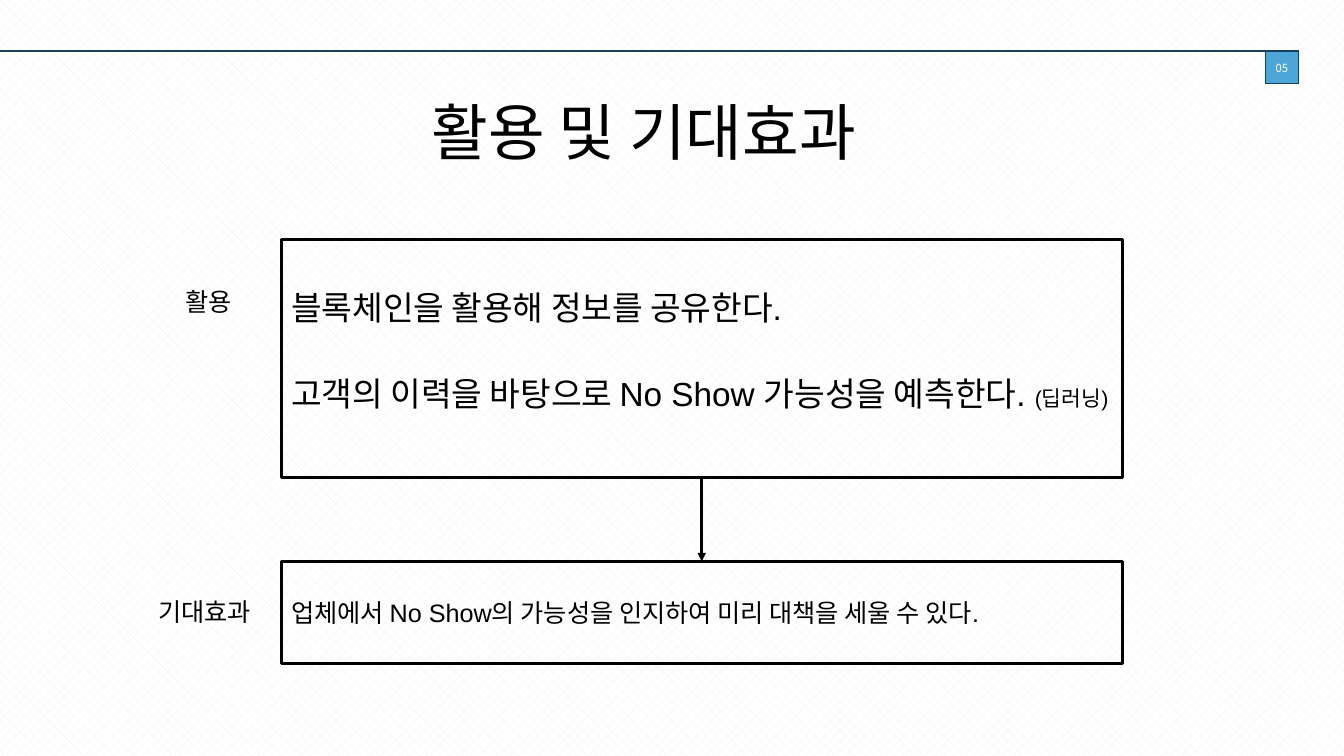
"""Build the slide on applications and expected effects."""
from dataclasses import dataclass

from lxml.etree import SubElement
from pptx import Presentation
from pptx.dml.color import RGBColor
from pptx.enum.dml import MSO_PATTERN
from pptx.enum.shapes import MSO_CONNECTOR, MSO_SHAPE
from pptx.enum.text import MSO_ANCHOR, PP_ALIGN
from pptx.oxml.ns import qn
from pptx.shapes.autoshape import Shape
from pptx.shapes.connector import Connector
from pptx.slide import Slide
from pptx.util import Inches, Pt


@dataclass(frozen=True)
class Theme:
    """Colours, fonts and type sizes of the slide."""
    ink: RGBColor = RGBColor(0, 0, 0)
    white: RGBColor = RGBColor(255, 255, 255)
    weave: RGBColor = RGBColor(0xF2, 0xF2, 0xF2)
    accent: RGBColor = RGBColor(0x4E, 0xA5, 0xD8)
    rule: RGBColor = RGBColor(0x14, 0x42, 0x5D)
    latin: str = "Arial"
    korean: str = "Noto Sans CJK KR"
    title: float = 44
    lead: float = 23.8
    body: float = 18
    note: float = 15.3
    number: float = 8


THEME = Theme()


@dataclass(frozen=True)
class Span:
    """One run of text."""
    text: str
    size: float
    font: str = THEME.korean
    color: RGBColor = THEME.ink


@dataclass(frozen=True)
class Para:
    """One paragraph with its spacing."""
    spans: tuple[Span, ...]
    spacing: float = 1.0
    before: float = 0
    align: PP_ALIGN = PP_ALIGN.LEFT


@dataclass(frozen=True)
class Box:
    """One rectangle or text box, measured in inches."""
    left: float
    top: float
    width: float
    height: float
    paras: tuple[Para, ...]
    line: RGBColor | None = None
    weight: float = 2
    fill: RGBColor | None = None
    anchor: MSO_ANCHOR = MSO_ANCHOR.MIDDLE
    inset: float = 0.05


def label(text: str, size: float = THEME.body) -> tuple[Para, ...]:
    """Return a single plain paragraph."""
    return (Para((Span(text, size),)),)


USE_BOX = Box(2.79, 2.38, 8.34, 2.36, (
    Para((Span("블록체인을 활용해 정보를 공유한다.", THEME.lead, THEME.latin),), 0.8),
    Para((Span("고객의 이력을 바탕으로 No Show 가능성을 예측한다. ", THEME.lead, THEME.latin),
          Span("(딥러닝)", THEME.note, THEME.latin)), 0.8, 38),
), line=THEME.ink, anchor=MSO_ANCHOR.TOP, inset=0.55)
EFFECT_BOX = Box(2.79, 5.57, 8.34, 1.01, (
    Para((Span("업체에서 No Show의 가능성을 인지하여 미리 대책을 세울 수 있다.",
               THEME.body, THEME.latin),)),
), line=THEME.ink)
NUMBER_BOX = Box(12.55, 0.51, 0.33, 0.32, (
    Para((Span("05", THEME.number, color=THEME.white),), align=PP_ALIGN.CENTER),
), line=THEME.rule, weight=1, fill=THEME.accent)
TEXT_BOXES = (
    Box(1.47, 5.87, 1.25, 0.4, label("기대효과")),
    Box(1.74, 2.79, 0.71, 0.4, label("활용")),
    Box(4.18, 0.57, 4.98, 1.45, label("활용 및 기대효과", THEME.title)),
)


def write_text(shape: Shape, box: Box) -> None:
    """Fill a shape with the paragraphs of its box."""
    frame = shape.text_frame
    frame.word_wrap = True
    frame.vertical_anchor = box.anchor
    frame.margin_top = Inches(box.inset)
    if box.fill is not None:
        frame.margin_left = frame.margin_right = 0
    for index, para in enumerate(box.paras):
        paragraph = frame.add_paragraph() if index else frame.paragraphs[0]
        paragraph.alignment = para.align
        paragraph.line_spacing = para.spacing
        paragraph.space_before = Pt(para.before)
        for span in para.spans:
            run = paragraph.add_run()
            run.text = span.text
            run.font.size = Pt(span.size)
            run.font.color.rgb = span.color
            run.font.name = span.font
            SubElement(run.font._element, qn("a:ea"), typeface=THEME.korean)


def add_box(page: Slide, box: Box) -> Shape:
    """Draw a rectangle or, without an outline, a text box."""
    place = [Inches(n) for n in (box.left, box.top, box.width, box.height)]
    if box.line is None:
        shape = page.shapes.add_textbox(*place)
    else:
        shape = page.shapes.add_shape(MSO_SHAPE.RECTANGLE, *place)
        shape.shadow.inherit = False
        shape.line.color.rgb = box.line
        shape.line.width = Pt(box.weight)
        if box.fill is None:
            shape.fill.background()
        else:
            shape.fill.solid()
            shape.fill.fore_color.rgb = box.fill
    write_text(shape, box)
    return shape


def add_line(page: Slide, start: tuple[float, float], end: tuple[float, float],
             color: RGBColor, weight: float) -> Connector:
    """Draw a straight line without a shadow."""
    line = page.shapes.add_connector(
        MSO_CONNECTOR.STRAIGHT, *(Inches(n) for n in start + end))
    line.line.color.rgb = color
    line.line.width = Pt(weight)
    SubElement(line._element.spPr, qn("a:effectLst"))
    return line


def join_boxes(page: Slide, upper: Shape, lower: Shape) -> None:
    """Draw an arrow from the bottom of one box to the top of another."""
    arrow = add_line(page, (6.96, 4.74), (6.96, 5.57), THEME.ink, 2)
    arrow.begin_connect(upper, 2)
    arrow.end_connect(lower, 0)
    SubElement(arrow.line._get_or_add_ln(), qn("a:tailEnd"), type="triangle")


def main() -> None:
    """Build and save the deck."""
    deck = Presentation()
    deck.slide_width, deck.slide_height = Inches(13.33), Inches(7.5)
    page = deck.slides.add_slide(deck.slide_layouts[6])
    backdrop = page.background.fill
    backdrop.patterned()
    backdrop.pattern = MSO_PATTERN.PERCENT_30
    backdrop.fore_color.rgb = THEME.weave
    backdrop.back_color.rgb = THEME.white

    use_shape = add_box(page, USE_BOX)
    add_box(page, NUMBER_BOX)
    add_line(page, (0, 0.51), (12.88, 0.51), THEME.rule, 1.3)
    effect_shape = add_box(page, EFFECT_BOX)
    join_boxes(page, use_shape, effect_shape)
    for box in TEXT_BOXES:
        add_box(page, box)
    deck.save("out.pptx")


if __name__ == "__main__":
    main()
